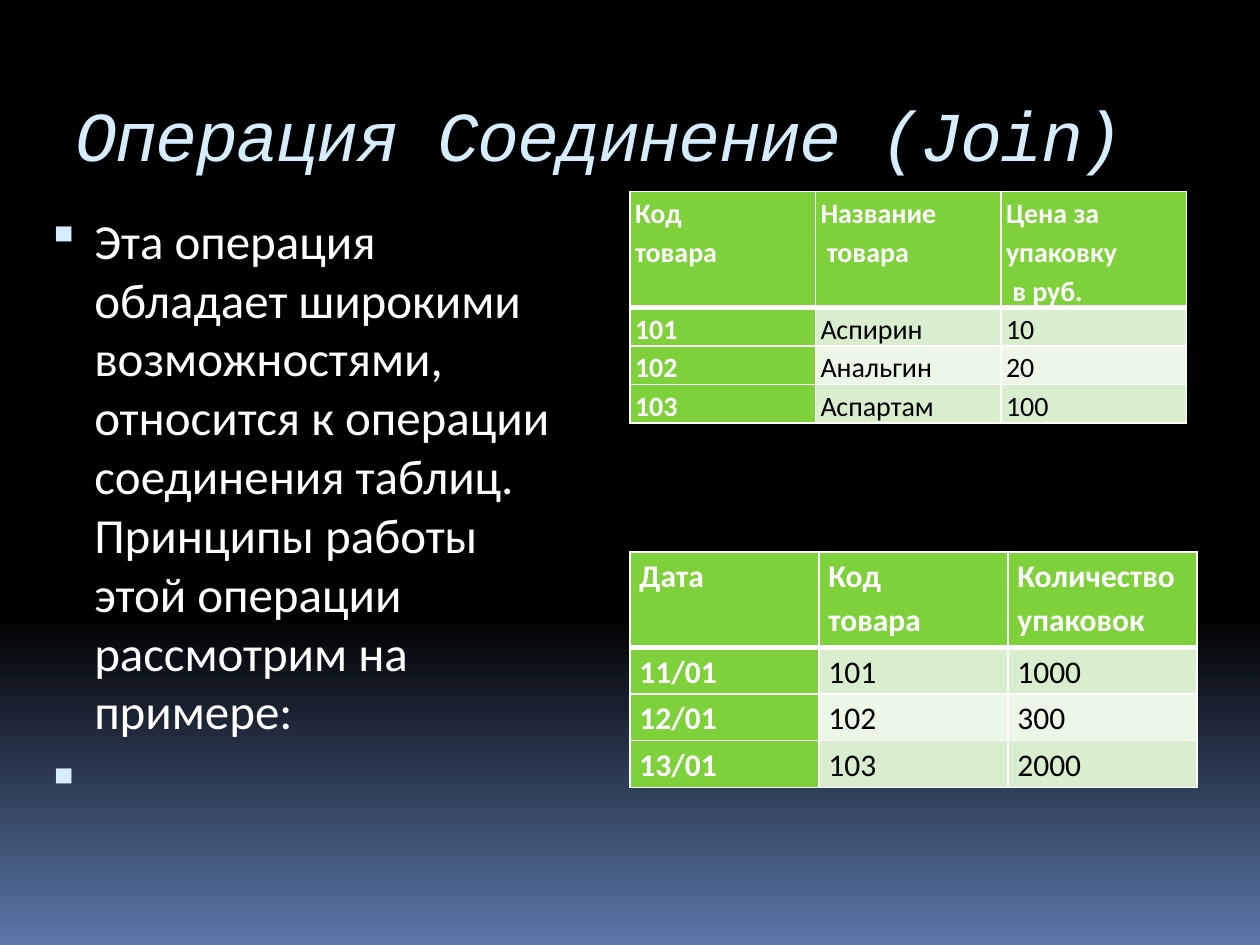
from lxml.etree import SubElement
from pptx import Presentation
from pptx.dml.color import RGBColor
from pptx.enum.text import MSO_ANCHOR, PP_ALIGN
from pptx.oxml import parse_xml
from pptx.oxml.ns import nsdecls, qn
from pptx.util import Pt

COLORS = {
    "black": "000000", "white": "FFFFFF", "sky": "D6ECFF", "dusk": "5B77A8",
    "green": "7FD13B", "band": "D8EECE", "pale band": "ECF7E8",
}
TITLE = "Операция Соединение (Join)"
POINTS = [
    "Эта операция обладает широкими возможностями, относится к операции "
    "соединения таблиц. Принципы работы этой операции рассмотрим на примере:",
    "\u00a0",
]
TABLES = [
    {
        "top": 109.4, "column": 106, "heights": (60.5, 20.2), "size": 16, "margin": 2.9,
        "rows": [
            ("Код \nтовара", "Название\n товара", "Цена за \nупаковку\n в руб."),
            ("101", "Аспирин", "10"),
            ("102", "Анальгин", "20"),
            ("103", "Аспартам", "100"),
        ],
    },
    {
        "top": 315.4, "column": 108, "heights": (54.7, 26.6), "size": 18, "margin": 5.4,
        "rows": [
            ("Дата", "Код \nтовара", "Количество\nупаковок"),
            ("11/01", "101", "1000"),
            ("12/01", "102", "300"),
            ("13/01", "103", "2000"),
        ],
    },
]
TABLE_LEFT = 360


def rgb(name):
    """Return the named colour."""
    return RGBColor.from_string(COLORS[name])


def style(paragraph, size, color, font="Calibri", bold=False, italic=False):
    """Format every run of a paragraph."""
    for run in paragraph.runs:
        run.font.name = font
        run.font.size = Pt(size)
        run.font.bold = bold
        run.font.italic = italic
        run.font.color.rgb = rgb(color)


def add_text(slide, left, top, width, height, text):
    """Add a wrapping text box and return its text frame."""
    frame = slide.shapes.add_textbox(Pt(left), Pt(top), Pt(width), Pt(height)).text_frame
    frame.word_wrap = True
    frame.text = text
    return frame


def add_bullet(paragraph):
    """Give a paragraph a hanging square bullet."""
    properties = paragraph._p.get_or_add_pPr()
    properties.set("marL", str(Pt(32.4)))
    properties.set("indent", str(-Pt(27.4)))
    color = SubElement(properties, qn("a:buClr"))
    SubElement(color, qn("a:srgbClr"), val=COLORS["sky"])
    SubElement(properties, qn("a:buSzPct"), val="95000")
    SubElement(properties, qn("a:buChar"), char="▪")


def set_borders(cell, top, bottom):
    """Draw white cell borders, with the given top and bottom widths."""
    widths = {"lnL": 1, "lnR": 1, "lnT": top, "lnB": bottom}
    for position, (side, width) in enumerate(widths.items()):
        line = parse_xml(
            f'<a:{side} {nsdecls("a")} w="{Pt(width)}"><a:solidFill>'
            f'<a:srgbClr val="{COLORS["white"]}"/></a:solidFill></a:{side}>'
        )
        cell._tc.get_or_add_tcPr().insert(position, line)


def fill_cell(cell, text, row, column, size, margin):
    """Write and colour one cell according to its place in the table."""
    heading = row == 0 or column == 0
    cell.text = text
    cell.margin_left = cell.margin_right = Pt(margin)
    cell.margin_top = cell.margin_bottom = 0
    cell.fill.solid()
    cell.fill.fore_color.rgb = rgb("green" if heading else "band" if row % 2 else "pale band")
    set_borders(cell, top=3 if row == 1 else 1, bottom=3 if row == 0 else 1)
    for paragraph in cell.text_frame.paragraphs:
        paragraph.alignment = PP_ALIGN.JUSTIFY
        paragraph.line_spacing = 1.15
        style(paragraph, size, "white" if heading else "black", bold=heading)


def add_data_table(slide, data):
    """Add one table with a header row and a header column."""
    rows = data["rows"]
    header_height, row_height = data["heights"]
    heights = [header_height] + [row_height] * (len(rows) - 1)
    count = len(rows[0])
    table = slide.shapes.add_table(
        len(rows), count, Pt(TABLE_LEFT), Pt(data["top"]),
        Pt(data["column"] * count), Pt(sum(heights)),
    ).table
    for column in table.columns:
        column.width = Pt(data["column"])
    for r, texts in enumerate(rows):
        table.rows[r].height = Pt(heights[r])
        for c, text in enumerate(texts):
            fill_cell(table.cell(r, c), text, r, c, data["size"], data["margin"])


presentation = Presentation()
presentation.slide_width, presentation.slide_height = Pt(720), Pt(540)
slide = presentation.slides.add_slide(presentation.slide_layouts[6])

sky = slide.background.fill
sky.gradient()
sky.gradient_angle = 270
for stop, position, name in zip(sky.gradient_stops, (0.65, 1), ("black", "dusk")):
    stop.position = position
    stop.color.rgb = rgb(name)

title = add_text(slide, 36, 40.3, 648, 72, TITLE)
title.vertical_anchor = MSO_ANCHOR.MIDDLE
style(title.paragraphs[0], 40, "sky", font="Courier New", italic=True)
title.paragraphs[0].runs[0].font._element.set("spc", "-100")

body = add_text(slide, 14.4, 116.6, 318.2, 356.4, "\n".join(POINTS))
for point in body.paragraphs:
    point.space_before = Pt(7)
    add_bullet(point)
    style(point, 28, "white")

for data in TABLES:
    add_data_table(slide, data)

presentation.save("out.pptx")
